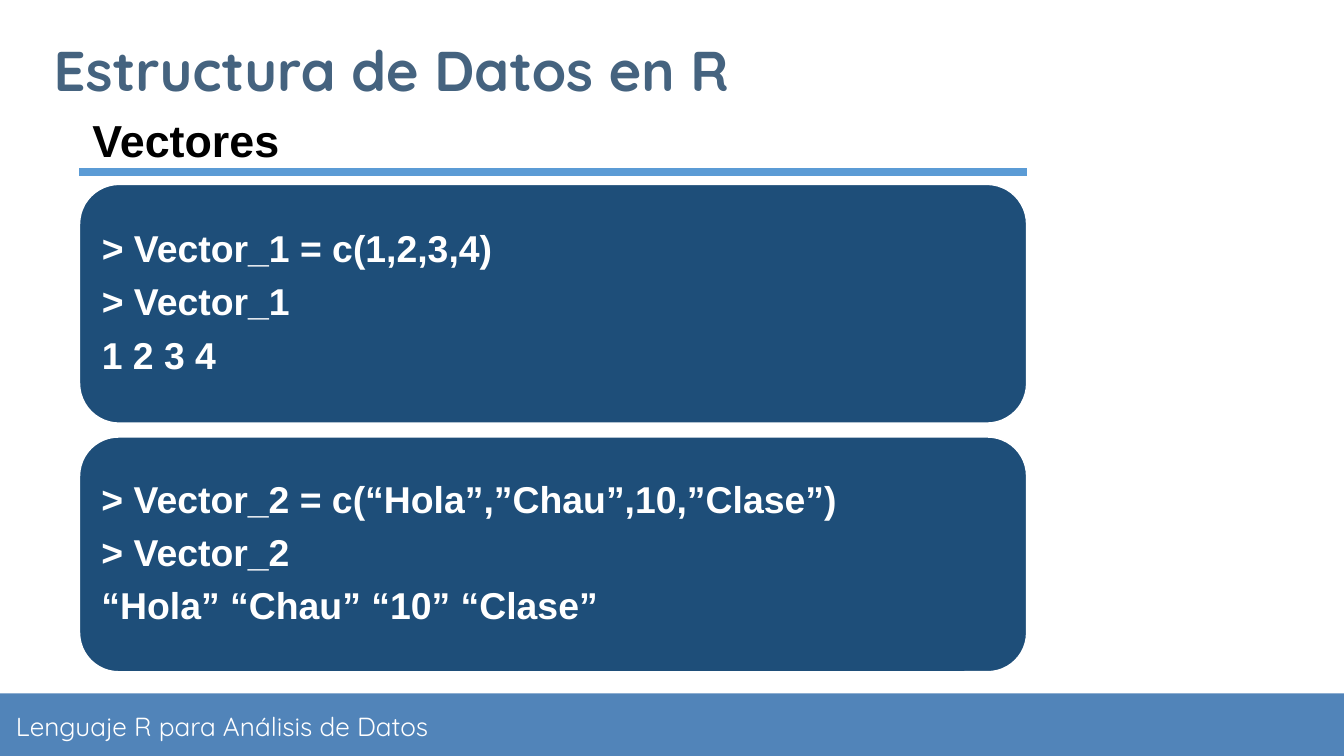
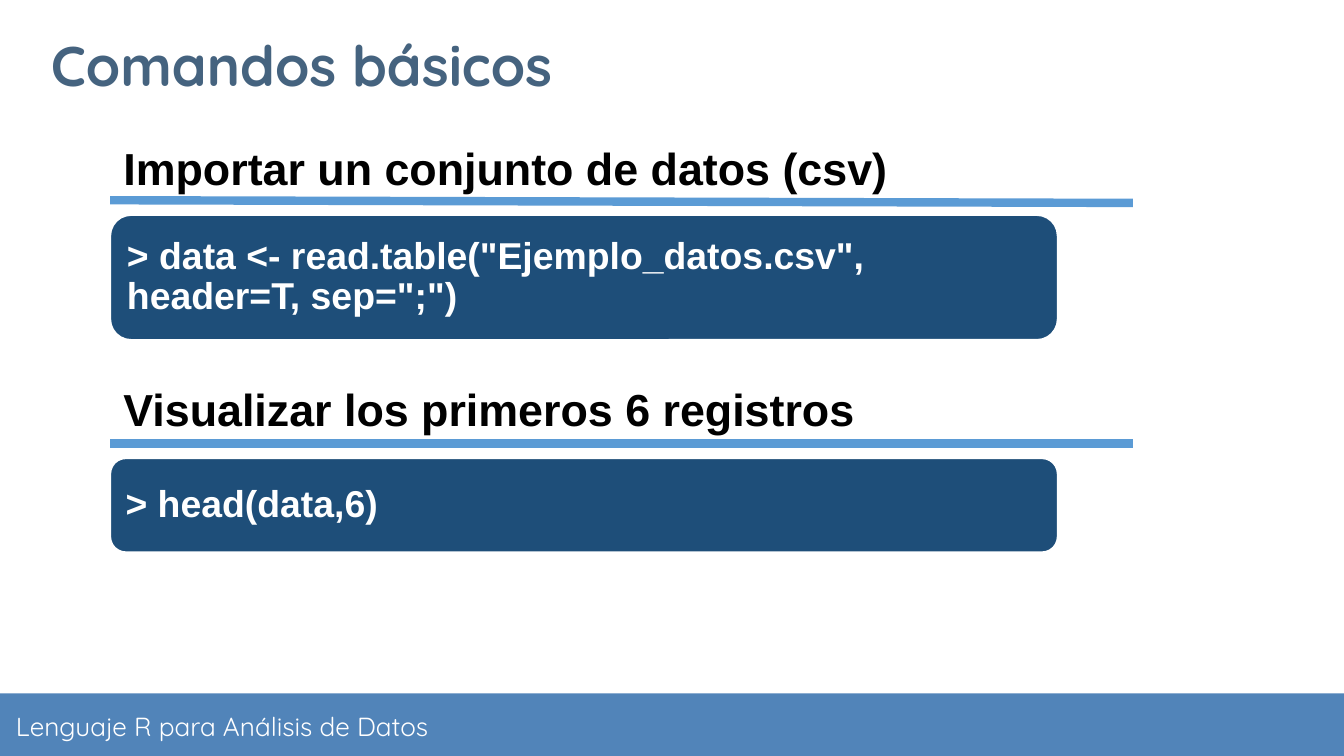
from pptx import Presentation, util as u
from pptx.dml.color import RGBColor
from pptx.enum import shapes, text
from pptx.oxml.ns import qn
from lxml import etree

# Shared look
WIDTH, HEIGHT = 10, 5.625
BAND_TOP, BAND_HEIGHT = 5.16, 0.47
PANEL_WIDTH = 7.05
CORNER = 0.167
CORNER_INSET = CORNER * 0.293  # share of a panel's height kept clear by its corners
WHITE, BLACK = "FFFFFF", "000000"
BAND, TITLE, PANEL, RULE = "5184B9", "45637F", "1E4E79", "5B9BD5"
HEAD_FONT, BODY_FONT = "Quicksand", "Arial"
FOOTER = "Lenguaje R para Análisis de Datos"


def colour(hex_string):
    return RGBColor.from_string(hex_string)


def inches(*lengths):
    return [u.Inches(length) for length in lengths]


def add_box(slide, kind, place, fill, outline=None):
    box = slide.shapes.add_shape(kind, *inches(*place))
    box.shadow.inherit = False
    box.fill.solid()
    box.fill.fore_color.rgb = colour(fill)
    if outline:
        box.line.color.rgb = colour(outline)
        box.line.width = u.Pt(1)
    else:
        box.line.fill.background()
    return box


def add_text(slide, place, lines, size, font, ink, bold=True, insets=(0.1, 0.1),
             anchor=text.MSO_ANCHOR.MIDDLE, spacing=None, gap=0):
    frame = slide.shapes.add_textbox(*inches(*place)).text_frame
    frame.word_wrap = True
    frame.vertical_anchor = anchor
    frame.margin_left = frame.margin_right = u.Inches(insets[0])
    frame.margin_top = frame.margin_bottom = u.Inches(insets[1])
    for number, line in enumerate(lines):
        paragraph = frame.add_paragraph() if number else frame.paragraphs[0]
        paragraph.text = line
        paragraph.font.size = u.Pt(size)
        paragraph.font.name = font
        paragraph.font.bold = bold
        paragraph.font.color.rgb = colour(ink)
        if spacing:
            paragraph.line_spacing = spacing
        if number and gap:
            paragraph.space_before = u.Pt(gap)


def add_heading(slide, left, top, width, heading, rule_start, rule_end, rule_right):
    """Section heading with the rule beneath it."""
    add_text(slide, (left, top, width, 0.5), [heading], 24, BODY_FONT, BLACK,
             insets=(0.1, 0.05), anchor=text.MSO_ANCHOR.TOP)
    rule = slide.shapes.add_connector(
        shapes.MSO_CONNECTOR.STRAIGHT, *inches(left, rule_start, rule_right, rule_end))
    rule.line.color.rgb = colour(RULE)
    rule.line.width = u.Pt(4.5)
    etree.SubElement(rule._element.spPr, qn("a:effectLst"))


def add_code(slide, left, top, height, lines):
    """Rounded panel with console lines, kept clear of its corners."""
    panel = add_box(slide, shapes.MSO_SHAPE.ROUNDED_RECTANGLE,
                    (left, top, PANEL_WIDTH, height), PANEL, WHITE)
    panel.adjustments[0] = CORNER
    inset = height * CORNER_INSET
    add_text(slide, (left + inset, top + inset, PANEL_WIDTH - 2 * inset, height - 2 * inset),
             lines, 20, BODY_FONT, WHITE, insets=(0.08, 0.08), spacing=0.9, gap=7)


def new_slide(deck, title, left, top):
    """Blank slide with the footer band and a title."""
    slide = deck.slides.add_slide(deck.slide_layouts[6])
    add_box(slide, shapes.MSO_SHAPE.RECTANGLE, (0, BAND_TOP, WIDTH, BAND_HEIGHT), BAND)
    add_text(slide, (0.02, BAND_TOP + 0.01, 4.97, BAND_HEIGHT), [FOOTER],
             14, HEAD_FONT, WHITE, bold=False)
    add_text(slide, (left, top, 6.59, 0.51), [title], 30, HEAD_FONT, TITLE)
    return slide


def vectors_slide(deck):
    slide = new_slide(deck, "Estructura de Datos en R", 0.3, 0.26)
    left = 0.59
    add_code(slide, left, 1.37, 1.78, ["> Vector_1 = c(1,2,3,4)", "> Vector_1", "1 2 3 4"])
    add_heading(slide, left, 0.79, 1.63, "Vectores", 1.28, 1.28, left + PANEL_WIDTH)
    add_code(slide, left, 3.25, 1.75, [
        "> Vector_2 = c(“Hola”,”Chau”,10,”Clase”)",
        "> Vector_2 ",
        "“Hola” “Chau” “10” “Clase”"])


def commands_slide(deck):
    slide = new_slide(deck, "Comandos básicos", 0.28, 0.22)
    left, rule_right = 0.82, 8.43
    add_code(slide, left, 1.6, 0.93,
             ['> data <- read.table("Ejemplo_datos.csv", header=T, sep=";")'])
    add_heading(slide, left, 1, 5.94, "Importar un conjunto de datos (csv)",
                1.49, 1.51, rule_right)
    add_code(slide, left, 3.41, 0.7, ["> head(data,6)"])
    add_heading(slide, left, 2.79, 5.7, "Visualizar los primeros 6 registros",
                3.3, 3.3, rule_right)


def main():
    deck = Presentation()
    deck.slide_width, deck.slide_height = inches(WIDTH, HEIGHT)
    vectors_slide(deck)
    commands_slide(deck)
    deck.save("out.pptx")


main()
